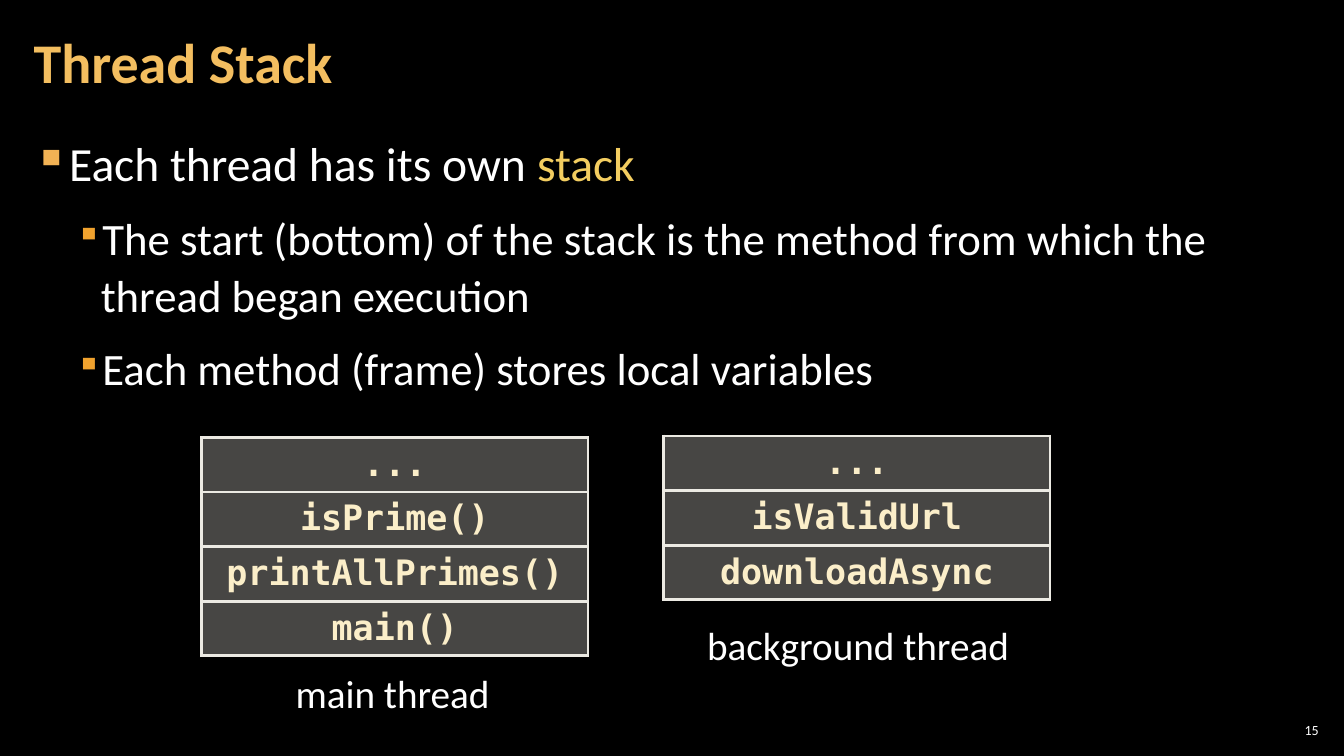
from typing import NamedTuple

from lxml.etree import SubElement
from pptx import Presentation
from pptx.dml.color import RGBColor
from pptx.enum.text import MSO_ANCHOR, MSO_AUTO_SIZE, PP_ALIGN
from pptx.oxml.ns import qn
from pptx.util import Pt

BLACK = RGBColor(0x00, 0x00, 0x00)
WHITE = RGBColor(0xFF, 0xFF, 0xFF)
GOLD = RGBColor(0xF3, 0xBE, 0x60)
YELLOW = RGBColor(0xF3, 0xCD, 0x60)
AMBER = RGBColor(0xF2, 0xB2, 0x54)
ORANGE = RGBColor(0xF0, 0xA2, 0x2E)
CREAM = RGBColor(0xFB, 0xEE, 0xC9)
IVORY = RGBColor(0xEC, 0xEA, 0xE3)
SANS, MONO = "Calibri", "DejaVu Sans Mono"
ROW, WIDE = 39, 276


class Run(NamedTuple):
    text: str
    size: float
    color: RGBColor = WHITE
    face: str = SANS
    bold: bool = False


class Bullet(NamedTuple):
    color: RGBColor
    scale: int
    left: float
    hang: float


class Para(NamedTuple):
    runs: list[Run]
    form: dict = {}
    bullet: Bullet | None = None


class Box(NamedTuple):
    rect: tuple[float, float, float, float]
    paras: list[Para]
    form: dict = {}


class Stack(NamedTuple):
    left: float
    top: float
    calls: list[str]


def apply(item, form: dict) -> None:
    for name, value in form.items():
        setattr(item, name, value)


def mark(para, bullet: Bullet) -> None:
    """Give the paragraph a hanging square bullet."""
    props = para._p.get_or_add_pPr()
    props.set("marL", str(Pt(bullet.left)))
    props.set("indent", str(-Pt(bullet.hang)))
    tint = SubElement(props, qn("a:buClr"))
    SubElement(tint, qn("a:srgbClr"), val=str(bullet.color))
    SubElement(props, qn("a:buSzPct"), val=str(bullet.scale * 1000))
    SubElement(props, qn("a:buChar"), char="▪")


def write(frame, paras: list[Para]) -> None:
    for i, part in enumerate(paras):
        para = frame.add_paragraph() if i else frame.paragraphs[0]
        if part.bullet:
            mark(para, part.bullet)
        apply(para, part.form)
        for piece in part.runs:
            run = para.add_run()
            run.text = piece.text
            apply(run.font, {"size": Pt(piece.size), "name": piece.face,
                             "bold": piece.bold})
            run.font.color.rgb = piece.color


def draw_box(slide, box: Box) -> None:
    frame = slide.shapes.add_textbox(*map(Pt, box.rect)).text_frame
    apply(frame, {"word_wrap": True} | box.form)
    write(frame, box.paras)


def edge(cell) -> None:
    """Line all four sides of the cell."""
    props = cell._tc.get_or_add_tcPr()
    for side in "LRTB":
        line = SubElement(props, qn(f"a:ln{side}"), w=str(Pt(2.25)))
        fill = SubElement(line, qn("a:solidFill"))
        SubElement(fill, qn("a:srgbClr"), val=str(IVORY))


def shade(cell) -> None:
    """Fill the cell with ivory at 30 percent."""
    cell.fill.solid()
    cell.fill.fore_color.rgb = IVORY
    color = cell._tc.tcPr.find(qn("a:solidFill")).find(qn("a:srgbClr"))
    SubElement(color, qn("a:alpha"), val="30000")


def draw_stack(slide, stack: Stack) -> None:
    count = len(stack.calls)
    rect = map(Pt, (stack.left, stack.top, WIDE, ROW * count))
    table = slide.shapes.add_table(count, 1, *rect).table
    apply(table, {"first_row": False, "horz_banding": False})
    form = {"alignment": PP_ALIGN.CENTER, "line_spacing": 0.95}
    for i, call in enumerate(stack.calls):
        cell = table.cell(i, 0)
        cell.vertical_anchor = MSO_ANCHOR.MIDDLE
        edge(cell)
        shade(cell)
        write(cell.text_frame, [Para([Run(call, 25, CREAM, MONO, True)], form)])


INSET = {"margin_left": Pt(9), "margin_right": Pt(9),
         "margin_top": Pt(3), "margin_bottom": Pt(3)}
MIDDLE = {"vertical_anchor": MSO_ANCHOR.MIDDLE}
LABEL = {"word_wrap": False, "auto_size": MSO_AUTO_SIZE.SHAPE_TO_FIT_TEXT}
FIRST = {"line_spacing": 1.05, "space_after": Pt(6)}
NEXT = FIRST | {"space_before": Pt(6), "level": 1}
MAIN = Bullet(AMBER, 100, 24, 24)
SUB = Bullet(ORANGE, 80, 48, 18)

BOXES = [
    Box((911, 514, 34, 15),
        [Para([Run("15", 10)], {"alignment": PP_ALIGN.RIGHT})],
        MIDDLE | dict.fromkeys(INSET, Pt(3))),
    Box((15, 91, 930, 438), [
        Para([Run("Each thread has its own ", 34), Run("stack", 34, YELLOW)],
             FIRST, MAIN),
        Para([Run("The start (bottom) of the stack is the method from which "
                  "the thread began execution", 32)], NEXT, SUB),
        Para([Run("Each method (frame) stores local variables", 32)],
             NEXT, SUB),
    ], INSET),
    Box((15, 3, 754, 87),
        [Para([Run("Thread Stack", 40, GOLD, bold=True)],
              {"line_spacing": 0.9})], INSET | MIDDLE),
    Box((204, 474.5, 156, 41), [Para([Run("main thread", 28)])], LABEL),
    Box((498, 440, 232, 41), [Para([Run("background thread", 28)])], LABEL),
]
STACKS = [
    Stack(144, 312.5, ["...", "isPrime()", "printAllPrimes()", "main()"]),
    Stack(474, 311.5, ["...", "isValidUrl", "downloadAsync"]),
]


def main() -> None:
    deck = Presentation()
    apply(deck, {"slide_width": Pt(960), "slide_height": Pt(540)})
    slide = deck.slides.add_slide(deck.slide_layouts[6])
    back = slide.background.fill
    back.solid()
    back.fore_color.rgb = BLACK
    for box in BOXES:
        draw_box(slide, box)
    for stack in STACKS:
        draw_stack(slide, stack)
    deck.save("out.pptx")


if __name__ == "__main__":
    main()
